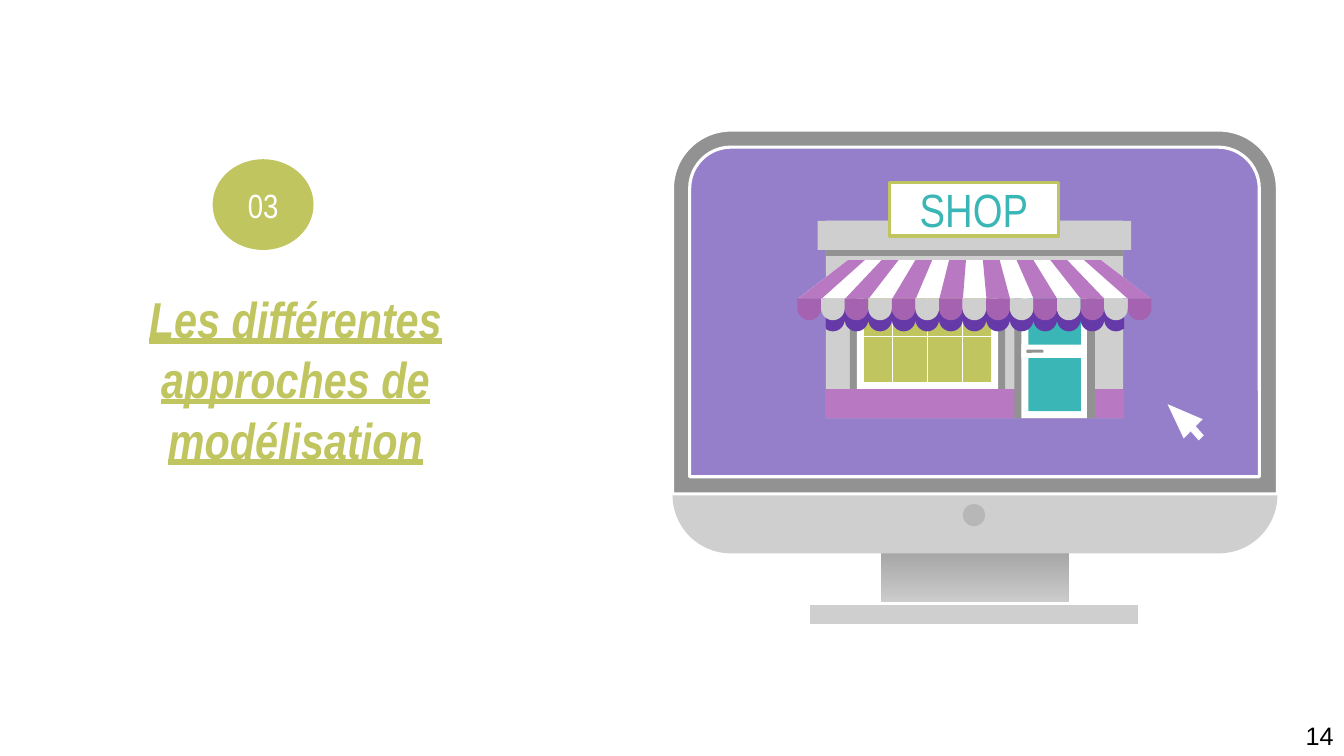
import math
import pptx
import pptx.dml.color
import pptx.enum.shapes
import pptx.enum.text
import pptx.oxml.xmlchemy
import pptx.util

KIND = pptx.enum.shapes.MSO_SHAPE
ALIGN = pptx.enum.text.PP_ALIGN
ANCHOR = pptx.enum.text.MSO_ANCHOR
WHITE, LIGHT, GREY = "FFFFFF", "CFCFCF", "929292"
LIME, TEAL, LILAC, PINK = "C0C55F", "39B6B5", "957FCA", "B878C2"
PLUM, GRAPE = "A562B0", "6639A8"


def px(num):
    return round(num * 9144)


def tint(code):
    return pptx.dml.color.RGBColor.from_string(code)


def curve(left, top, width):
    mid, half = left + width / 2, width / 2
    turns = [math.pi * step / 16 for step in range(17)]
    return [(mid - half * math.cos(t), top + half * math.sin(t)) for t in turns]


class Page:
    font = "Arial Narrow"

    def __init__(self, slide):
        self.shapes = slide.shapes

    def paint(self, shape, fill, line=None, thick=1):
        shape.shadow.inherit = False
        shape.fill.solid()
        shape.fill.fore_color.rgb = tint(fill)
        if line:
            shape.line.color.rgb = tint(line)
            shape.line.width = pptx.util.Pt(thick)
        else:
            shape.line.fill.background()
        return shape

    def box(self, area, fill, line=None, thick=1, kind=KIND.RECTANGLE, bend=None):
        shape = self.shapes.add_shape(kind, *map(px, area))
        if bend:
            shape.adjustments[0] = bend / min(area[2:])
        return self.paint(shape, fill, line, thick)

    def fade(self, area, first, last):
        shape = self.box(area, first)
        shape.fill.gradient()
        shape.fill.gradient_angle = 270
        for stop, code, place in zip(shape.fill.gradient_stops, (first, last), (0, 1)):
            stop.color.rgb = tint(code)
            stop.position = place

    def form(self, points, fill):
        spots = [(px(x), px(y)) for x, y in points]
        draft = self.shapes.build_freeform(*spots[0], scale=1.0)
        draft.add_line_segments(spots[1:], close=True)
        return self.paint(draft.convert_to_shape(), fill)

    def rule(self, ends, code, thick):
        line = self.shapes.add_connector(
            pptx.enum.shapes.MSO_CONNECTOR.STRAIGHT, *map(px, ends))
        line.line.color.rgb = tint(code)
        line.line.width = pptx.util.Pt(thick)
        line._element.spPr.append(pptx.oxml.xmlchemy.OxmlElement("a:effectLst"))

    def label(self, shape, words, size, code, bold=False, font=None,
              align=ALIGN.CENTER, anchor=ANCHOR.MIDDLE, pad=(13, 13)):
        frame = shape.text_frame
        frame.word_wrap = True
        frame.vertical_anchor = anchor
        frame.margin_left = frame.margin_right = px(pad[0])
        frame.margin_top = frame.margin_bottom = px(pad[1])
        frame.text = words
        para = frame.paragraphs[0]
        para.alignment = align
        face = para.runs[0].font
        face.name = font or self.font
        face.size = pptx.util.Pt(size)
        face.color.rgb = tint(code)
        face.bold = face.italic = face.underline = bold

    def text(self, area, words, size, code, **style):
        self.label(self.shapes.add_textbox(*map(px, area)), words, size, code, **style)


def screen(page):
    page.fade((874, 522, 186, 97), "919191", "DDDDDD")
    page.box((802, 599, 328, 22), LIGHT, WHITE, 2.25)
    page.box((667, 129, 600, 420), LIGHT, kind=KIND.ROUNDED_RECTANGLE, bend=58)
    page.box((955, 500, 22, 22), "B7B7B7", kind=KIND.OVAL)
    top = KIND.ROUND_2_SAME_RECTANGLE
    page.box((667, 129, 600, 361), GREY, WHITE, 2.25, top, 58)
    page.box((684, 146, 565, 327), LILAC, WHITE, 2.25, top, 41)


def front(page):
    page.box((819, 219, 295, 196), LIGHT)
    for inset, fill in enumerate((GREY, WHITE, LIME)):
        gap = 7 * inset
        page.box((843 + gap, 274 + gap, 154 - 2 * gap, 119 - 2 * gap), fill)
    page.rule((853, 334, 987, 334), WHITE, 0.85)
    for x in (885, 920, 955):
        page.rule((x, 277, x, 384), WHITE, 0.85)
    page.box((819, 386, 295, 28), PINK, PINK, 0.75)
    page.box((1006, 261, 80, 154), GREY)
    page.box((1013, 258, 65, 157), WHITE)
    page.box((1020, 265, 52, 143), TEAL)


def roof(page):
    cups, left, top, wide = 15, 791, 296, 23.4
    hem = [spot for cup in range(1, cups - 1)
           for spot in curve(left + cup * wide, 317, wide) if 819 <= spot[0] <= 1115]
    page.form([(819, 307), (819, 325)] + hem + [(1115, 326), (1115, 307)], GRAPE)
    page.box((1013, 342, 65, 13), WHITE)
    page.box((1018, 347, 17, 3), GREY, kind=KIND.ROUNDED_RECTANGLE, bend=1)
    page.box((819, 230, 295, 24), GREY)
    page.box((811, 219, 311, 29), LIGHT)
    sign = page.box((882, 181, 168, 53), WHITE, LIME, 2.5)
    page.label(sign, "SHOP", 33.3, TEAL)
    page.form([(841, 258), (792, 296), (1141, 296), (1092, 258)], WHITE)
    for band in range(0, cups, 2):
        high, low = 841 + band * 16.73, 792 + band * 23.3
        page.form([(high, 258), (low, 296), (low + 23.3, 296), (high + 16.73, 258)], PINK)
    for cup in range(cups):
        x = left + cup * wide
        page.form([(x, top)] + curve(x, 306, wide) + [(x + wide, top)],
                  LIGHT if cup % 2 else PLUM)


def main():
    deck = pptx.Presentation()
    deck.slide_width, deck.slide_height = px(1333), px(750)
    page = Page(deck.slides.add_slide(deck.slide_layouts[6]))
    screen(page)
    front(page)
    roof(page)
    page.form([(1158, 401), (1174, 435), (1181, 428), (1189, 437),
               (1194, 432), (1186, 423), (1193, 416)], WHITE)
    badge = page.box((211, 158, 100, 90), LIME, kind=KIND.OVAL)
    page.label(badge, "03", 24, WHITE)
    page.text((72, 344, 442, 63), "Les différentes approches de modélisation",
              36, LIME, bold=True)
    page.text((1285, 710, 48, 40), "14", 18, "000000", font="Arial",
              align=ALIGN.LEFT, anchor=ANCHOR.TOP, pad=(10, 5))
    deck.save("out.pptx")


if __name__ == "__main__":
    main()
